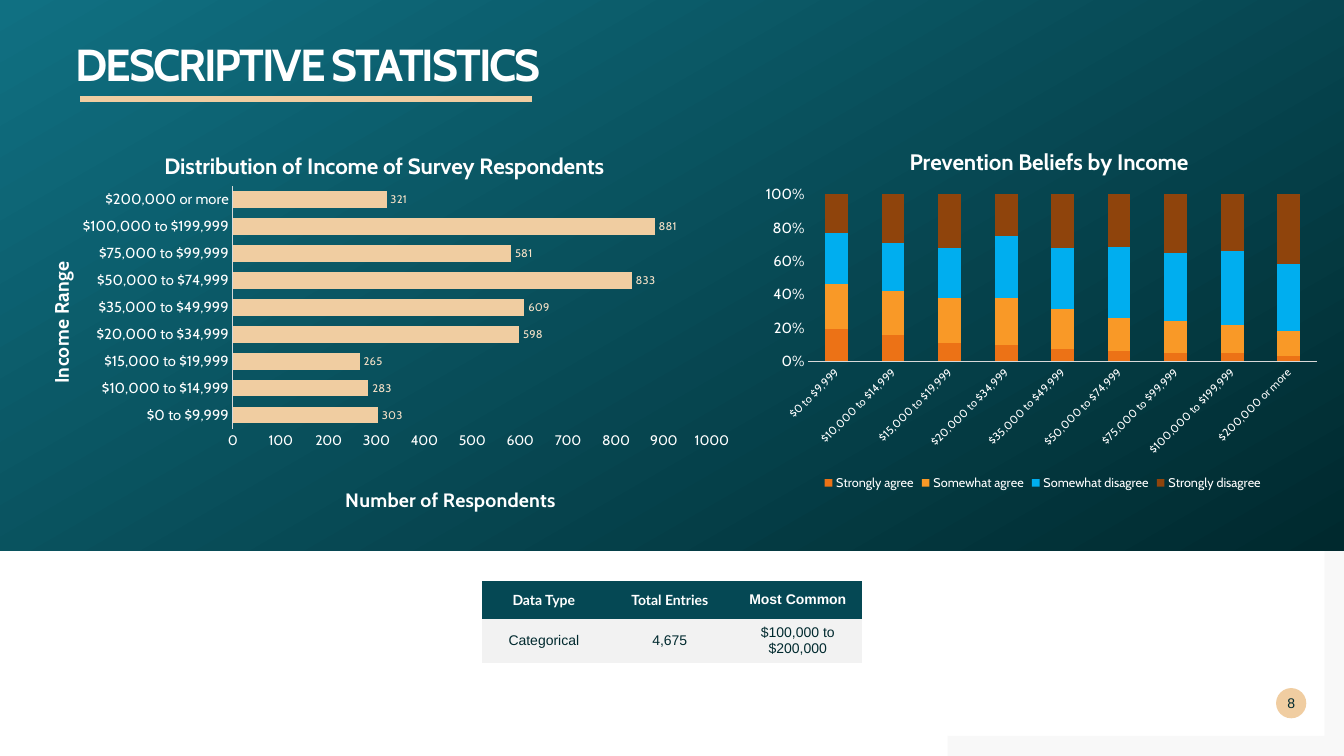
from dataclasses import dataclass

from lxml.etree import SubElement
from pptx import Presentation
from pptx.chart.axis import _BaseAxis
from pptx.chart.chart import Chart
from pptx.chart.data import CategoryChartData
from pptx.dml.color import RGBColor
from pptx.dml.fill import FillFormat
from pptx.enum.chart import XL_CHART_TYPE, XL_LABEL_POSITION, XL_LEGEND_POSITION, XL_TICK_MARK
from pptx.enum.shapes import MSO_CONNECTOR, MSO_SHAPE
from pptx.enum.text import MSO_ANCHOR, PP_ALIGN
from pptx.oxml import parse_xml
from pptx.oxml.ns import nsdecls, qn
from pptx.slide import Slide
from pptx.text.text import Font, TextFrame
from pptx.util import Pt

COLORS = {
    "white": "FFFFFF", "dark": "00292E", "teal": "107082", "header": "054854",
    "row": "F2F2F2", "sand": "F0CDA1", "pale sand": "F6E1C7", "axis": "D9D9D9",
    "edge": "808080", "orange": "EC7216", "amber": "F99927", "blue": "00AEEF",
    "brown": "8F440C",
}
NO_TABLE_STYLE = "{2D5ABB26-0587-4C30-8999-92F81FD0307C}"
INCOMES = [
    "$0 to $9,999", "$10,000 to $14,999", "$15,000 to $19,999",
    "$20,000 to $34,999", "$35,000 to $49,999", "$50,000 to $74,999",
    "$75,000 to $99,999", "$100,000 to $199,999", "$200,000 or more",
]


@dataclass
class Answer:
    name: str
    values: list[int]
    color: str


@dataclass
class IncomeChart:
    kind: XL_CHART_TYPE
    title: str
    title_at: tuple[float, float]
    box: tuple[float, float, float, float]
    plot_box: tuple[float, float, float, float]
    gap: int
    category_size: float
    value_size: float
    maximum: float
    step: float
    number_format: str
    answers: list[Answer]


DISTRIBUTION = IncomeChart(
    XL_CHART_TYPE.BAR_CLUSTERED, "Distribution of Income of Survey Respondents", (0.2, 0.05),
    (10.8, 91.44, 518.4, 278.64), (0.3, 0.15, 0.66, 0.63), 60, 10.5, 10, 1000, 100, "General",
    [Answer("Series 1", [303, 283, 265, 598, 609, 833, 581, 881, 321], "sand")],
)
BELIEFS = IncomeChart(
    XL_CHART_TYPE.COLUMN_STACKED_100, "Prevention Beliefs by Income", (0.26, 0.05),
    (540.72, 88.56, 408.24, 264.96), (0.09, 0.19, 0.89, 0.45), 150, 8, 10.5, 1, 0.2, "0%",
    [
        Answer("Strongly agree", [19, 16, 11, 10, 7, 6, 5, 5, 3], "orange"),
        Answer("Somewhat agree", [27, 26, 27, 28, 24, 20, 19, 17, 15], "amber"),
        Answer("Somewhat disagree", [30, 29, 30, 37, 36, 43, 41, 44, 40], "blue"),
        Answer("Strongly disagree", [23, 29, 32, 25, 32, 32, 35, 34, 41], "brown"),
    ],
)


def rgb(name: str) -> RGBColor:
    return RGBColor.from_string(COLORS[name])


def paint(fill: FillFormat, color: str) -> None:
    fill.solid()
    fill.fore_color.rgb = rgb(color)


def style(font: Font, size: float, color: str = "white", name: str = "Cabin", bold: bool = False) -> None:
    font.size, font.name, font.bold = Pt(size), name, bold
    font.color.rgb = rgb(color)


def place(element, *fractions: float) -> None:
    """Fix a chart part at x, y and optionally width, height, as parts of the chart."""
    for old in element.findall(qn("c:layout")):
        element.remove(old)
    layout = parse_xml(f"<c:layout {nsdecls('c')}><c:manualLayout/></c:layout>")
    manual = layout[0]
    if len(fractions) == 4:
        SubElement(manual, qn("c:layoutTarget"), val="inner")
    for tag in ("xMode", "yMode"):
        SubElement(manual, qn(f"c:{tag}"), val="edge")
    for tag, fraction in zip("xywh", fractions):
        SubElement(manual, qn(f"c:{tag}"), val=str(fraction))
    element.insert(1 if element.tag == qn("c:title") else 0, layout)


def write_title(frame: TextFrame, text: str, size: float) -> None:
    frame.text = text
    style(frame.paragraphs[0].font, size, bold=True)


def title_axis(axis: _BaseAxis, text: str, at: tuple[float, float], rotation: int) -> None:
    write_title(axis.axis_title.text_frame, text, 14)
    title = axis.axis_title.element
    place(title, *at)
    title.xpath(".//a:bodyPr")[0].set("rot", str(rotation))


def add_income_chart(slide: Slide, item: IncomeChart) -> Chart:
    data = CategoryChartData()
    data.categories = INCOMES
    for answer in item.answers:
        data.add_series(answer.name, answer.values)
    chart = slide.shapes.add_chart(item.kind, *map(Pt, item.box), data).chart
    style(chart.font, 10)
    chart.has_legend = False
    write_title(chart.chart_title.text_frame, item.title, 16)
    place(chart.chart_title.element, *item.title_at)
    place(chart.element.xpath(".//c:plotArea")[0], *item.plot_box)

    plot = chart.plots[0]
    plot.gap_width, plot.vary_by_categories = item.gap, False
    for series, answer in zip(plot.series, item.answers):
        paint(series.format.fill, answer.color)

    for axis, size in ((chart.category_axis, item.category_size), (chart.value_axis, item.value_size)):
        axis.major_tick_mark = axis.minor_tick_mark = XL_TICK_MARK.NONE
        axis.has_major_gridlines = False
        style(axis.tick_labels.font, size)
    chart.category_axis.format.line.width = Pt(0.75)
    chart.category_axis.format.line.color.rgb = rgb("axis")
    values = chart.value_axis
    values.format.line.fill.background()
    values.minimum_scale, values.maximum_scale, values.major_unit = 0, item.maximum, item.step
    values.tick_labels.number_format = item.number_format
    values.tick_labels.number_format_is_linked = False
    return chart


def add_summary_table(slide: Slide) -> None:
    rows = [
        ["Data Type", "Total Entries", "Most Common"],
        ["Categorical", "4,675", "$100,000 to $200,000"],
    ]
    frame = slide.shapes.add_table(2, 3, Pt(344.16), Pt(414.72), Pt(271.44), Pt(57))
    frame.element.xpath(".//a:tableStyleId")[0].text = NO_TABLE_STYLE
    table = frame.table
    for column, width in zip(table.columns, (88.56, 91.44, 91.44)):
        column.width = Pt(width)
    for row, height in zip(table.rows, (27.5, 29.5)):
        row.height = Pt(height)
    for r, texts in enumerate(rows):
        for c, text in enumerate(texts):
            cell = table.cell(r, c)
            cell.text, cell.vertical_anchor = text, MSO_ANCHOR.MIDDLE
            paint(cell.fill, "row" if r else "header")
            paragraph = cell.text_frame.paragraphs[0]
            paragraph.alignment = PP_ALIGN.CENTER
            style(paragraph.font, 10, "dark" if r else "white",
                  "Arial" if r or c == 2 else "Lato", bold=r == 0)


def clear_margins(frame: TextFrame) -> None:
    frame.margin_left = frame.margin_top = frame.margin_right = frame.margin_bottom = 0


def add_backdrop(slide: Slide) -> None:
    corner = [(960, 342), (960, 540), (676.8, 540), (676.8, 525.6), (946, 525.6), (946, 342)]
    outline = [(Pt(x), Pt(y)) for x, y in corner]
    builder = slide.shapes.build_freeform(*outline[0])
    builder.add_line_segments(outline[1:])
    edge = builder.convert_to_shape()
    paint(edge.fill, "edge")
    SubElement(edge.element.xpath("./p:spPr/a:solidFill/a:srgbClr")[0], qn("a:alpha"), val="5000")

    band = slide.shapes.add_shape(MSO_SHAPE.RECTANGLE, 0, 0, Pt(960), Pt(393.4))
    band.fill.gradient()
    band.fill.gradient_angle = 120
    for stop, position, color in zip(band.fill.gradient_stops, (0, 1), ("dark", "teal")):
        stop.position, stop.color.rgb = position, rgb(color)
    for shape in (edge, band):
        shape.line.fill.background()
        shape.shadow.inherit = False


def add_heading(slide: Slide) -> None:
    frame = slide.shapes.add_textbox(Pt(54), Pt(30.24), Pt(595.44), Pt(28.8)).text_frame
    frame.word_wrap = True
    clear_margins(frame)
    heading = frame.paragraphs[0]
    heading.line_spacing = 0.9
    run = heading.add_run()
    run.text = "DESCRIPTIVE STATISTICS"
    style(run.font, 32, bold=True)
    run.font._element.set("spc", "-150")
    underline = slide.shapes.add_connector(MSO_CONNECTOR.STRAIGHT, Pt(57), Pt(70.6), Pt(380), Pt(70.6))
    underline.line.color.rgb = rgb("sand")
    underline.line.width = Pt(4.32)
    SubElement(underline.element.spPr, qn("a:effectLst"))


def add_page_number(slide: Slide) -> None:
    badge = slide.shapes.add_shape(MSO_SHAPE.OVAL, Pt(911.5), Pt(491.5), Pt(21.6), Pt(21.6))
    badge.shadow.inherit = False
    paint(badge.fill, "sand")
    badge.line.fill.background()
    frame = badge.text_frame
    clear_margins(frame)
    frame.text, frame.vertical_anchor = "8", MSO_ANCHOR.MIDDLE
    frame.paragraphs[0].alignment = PP_ALIGN.CENTER
    style(frame.paragraphs[0].font, 10, "dark", "Arial")


def main() -> None:
    deck = Presentation()
    deck.slide_width, deck.slide_height = Pt(960), Pt(540)
    slide = deck.slides.add_slide(deck.slide_layouts[6])
    add_backdrop(slide)
    add_heading(slide)
    add_page_number(slide)
    add_summary_table(slide)

    distribution = add_income_chart(slide, DISTRIBUTION)
    title_axis(distribution.category_axis, "Income Range", (0.04, 0.34), -5400000)
    title_axis(distribution.value_axis, "Number of Respondents", (0.45, 0.92), 0)
    labels = distribution.plots[0].series[0].data_labels
    labels.show_value, labels.position = True, XL_LABEL_POSITION.OUTSIDE_END
    style(labels.font, 8, "pale sand")

    beliefs = add_income_chart(slide, BELIEFS)
    beliefs.plots[0].overlap = 100
    beliefs.element.xpath(".//c:catAx/c:txPr/a:bodyPr")[0].set("rot", "-2700000")
    beliefs.has_legend = True
    beliefs.legend.position = XL_LEGEND_POSITION.BOTTOM
    beliefs.legend.include_in_layout = False
    style(beliefs.legend.font, 9)
    deck.save("out.pptx")


if __name__ == "__main__":
    main()
